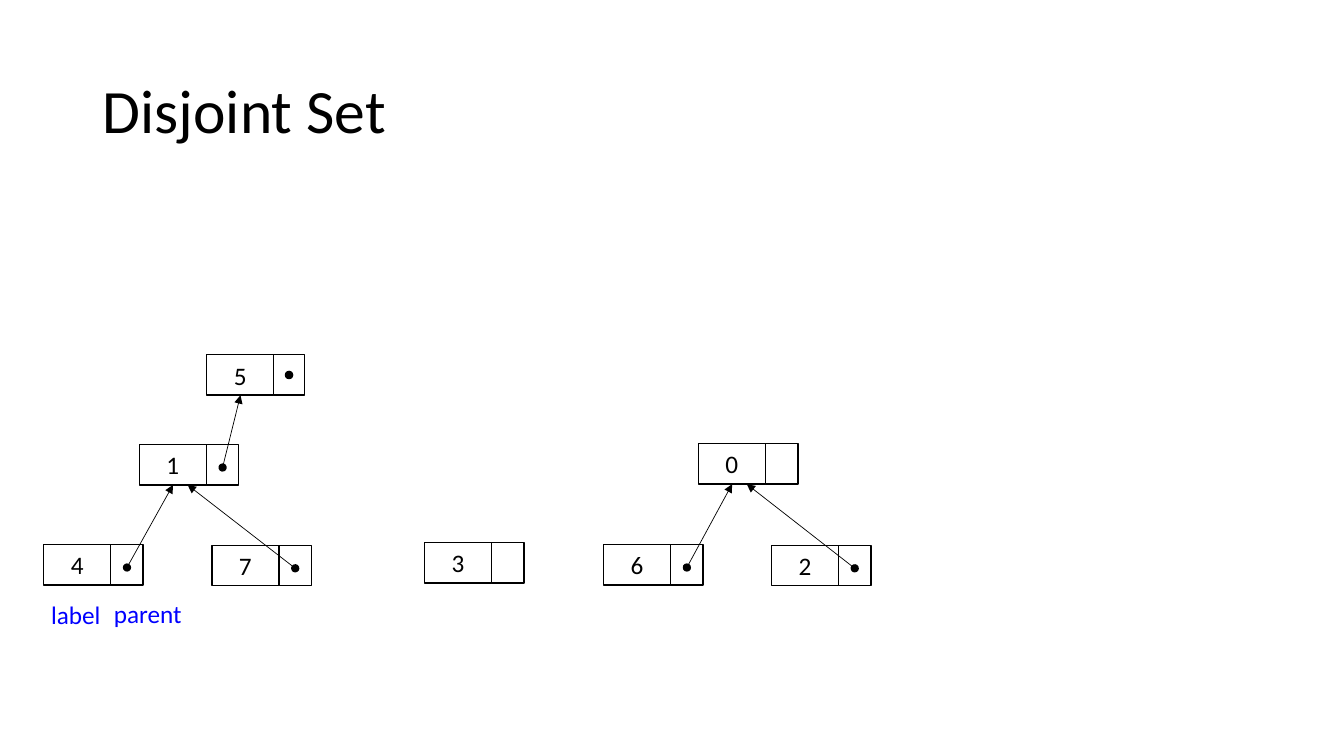
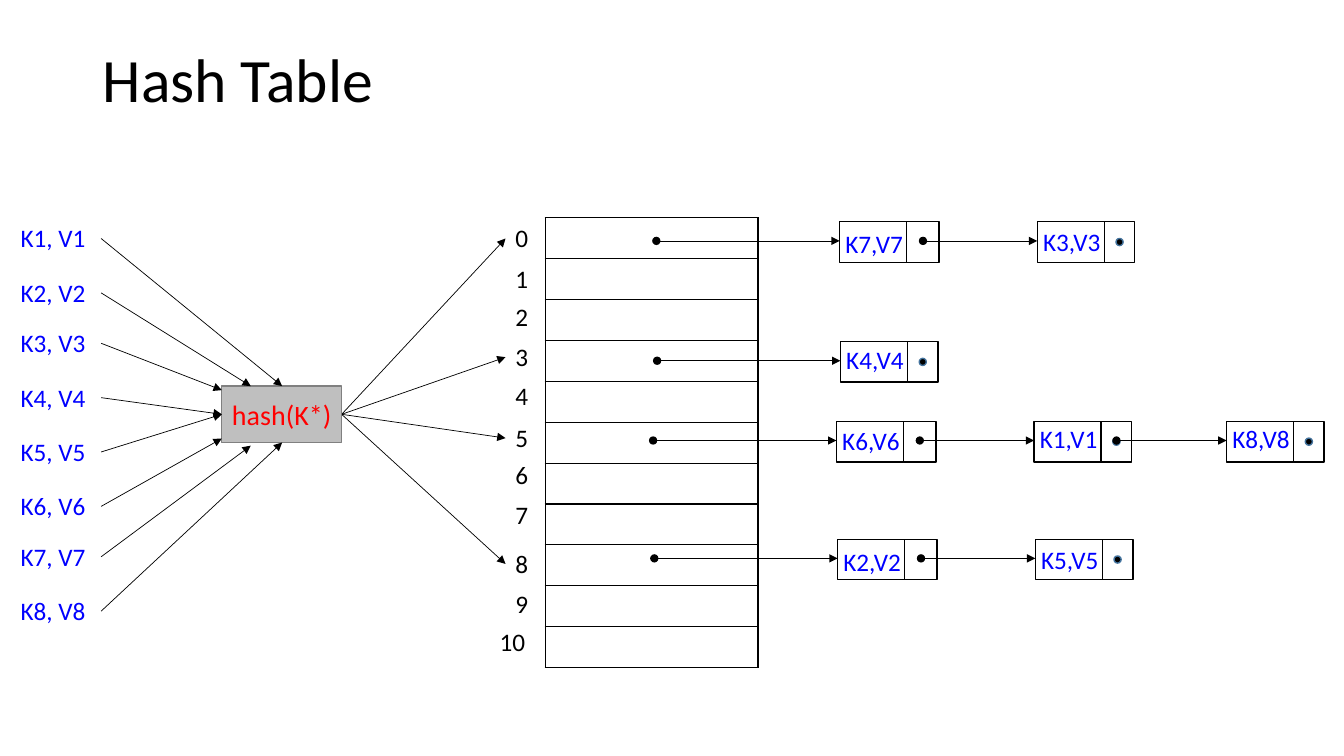
from dataclasses import dataclass

from lxml.etree import SubElement
from pptx import Presentation
from pptx.dml.color import RGBColor
from pptx.enum.shapes import MSO_CONNECTOR as Connector, MSO_SHAPE as Preset
from pptx.enum.text import MSO_ANCHOR as Anchor, MSO_AUTO_SIZE as AutoSize, PP_ALIGN as Align
from pptx.oxml.ns import qn
from pptx.shapes.autoshape import Shape
from pptx.slide import Slide
from pptx.table import _Cell as Cell
from pptx.text.text import TextFrame
from pptx.util import Cm, Pt

COLORS = {
    "ink": "000000",
    "entry": "0000FF",
    "hash_text": "FF0000",
    "hash_fill": "BFBFBF",
    "hash_edge": "808080",
    "null_edge": "43739E",
}
FONT = "Calibri"
BODY_SIZE = 18
ROW_H = 1.02
LABEL_W = 1.69
WIDE_SLOT, NARROW_SLOT = 0.82, 0.77
DOT = 0.18

Point = tuple[float, float]


@dataclass(frozen=True)
class Node:
    """A label cell followed by a pointer slot."""
    left: float
    top: float
    slot: float = WIDE_SLOT

    @property
    def slot_center(self) -> float:
        """Horizontal centre of the pointer slot."""
        return self.left + LABEL_W + self.slot / 2


@dataclass(frozen=True)
class Entry:
    """A key-value pair in a chain; drop shifts its text vertically."""
    text: str
    drop: float
    is_null: bool = False


@dataclass(frozen=True)
class Chain:
    """Entries hanging from one bucket of the table."""
    bucket: int
    top: float
    lefts: tuple[float, ...]
    entries: tuple[Entry, ...]


@dataclass(frozen=True)
class Key:
    """An input pair and the point where its arrow meets the hash box."""
    text: str
    top: float
    target: Point


def rgb(name: str) -> RGBColor:
    """Look up a named colour."""
    return RGBColor.from_string(COLORS[name])


def write(frame: TextFrame, text: str, size: int = BODY_SIZE,
          color: str = "ink", align: Align = Align.LEFT) -> None:
    """Put one run into the first paragraph of a frame."""
    paragraph = frame.paragraphs[0]
    paragraph.alignment = align
    run = paragraph.add_run()
    run.text = text
    run.font.name = FONT
    run.font.size = Pt(size)
    run.font.color.rgb = rgb(color)


def add_text(slide: Slide, left: float, top: float, width: float, text: str,
             color: str = "ink", align: Align = Align.LEFT, wrap: bool = True) -> None:
    """Add a one-line text box."""
    frame = slide.shapes.add_textbox(Cm(left), Cm(top), Cm(width), Cm(ROW_H)).text_frame
    frame.word_wrap = wrap
    frame.auto_size = AutoSize.SHAPE_TO_FIT_TEXT
    write(frame, text, color=color, align=align)


def add_title(slide: Slide, top: float, text: str) -> None:
    """Add the slide title."""
    frame = slide.shapes.add_textbox(Cm(2.34), Cm(top), Cm(29.21), Cm(3.68)).text_frame
    frame.word_wrap = True
    frame.vertical_anchor = Anchor.MIDDLE
    write(frame, text, size=44)
    frame.paragraphs[0].line_spacing = 0.9


def add_outline(slide: Slide, preset: Preset, left: float, top: float, width: float,
                height: float, fill: str = "", edge: str = "ink") -> Shape:
    """Add a flat shape with a thin edge and an optional fill."""
    shape = slide.shapes.add_shape(preset, Cm(left), Cm(top), Cm(width), Cm(height))
    shape.shadow.inherit = False
    if fill:
        shape.fill.solid()
        shape.fill.fore_color.rgb = rgb(fill)
    else:
        shape.fill.background()
    shape.line.color.rgb = rgb(edge)
    shape.line.width = Pt(1)
    return shape


def add_node(slide: Slide, node: Node, text: str = "") -> None:
    """Draw a node's label cell and pointer slot."""
    cell = add_outline(slide, Preset.RECTANGLE, node.left, node.top, LABEL_W, ROW_H)
    if text:
        cell.text_frame.vertical_anchor = Anchor.MIDDLE
        write(cell.text_frame, text, align=Align.CENTER)
    add_outline(slide, Preset.RECTANGLE, node.left + LABEL_W, node.top, node.slot, ROW_H)


def add_dot(slide: Slide, node: Node, edge: str) -> None:
    """Draw the dot of a pointer that leads nowhere."""
    add_outline(slide, Preset.OVAL, node.slot_center - DOT / 2, node.top + 0.51 - DOT / 2,
                DOT, DOT, fill="ink", edge=edge)


def add_arrow(slide: Slide, start: Point, end: Point, dotted_start: bool = False) -> None:
    """Draw a thin arrow, optionally starting from a dot."""
    arrow = slide.shapes.add_connector(
        Connector.STRAIGHT, *(Cm(length) for length in (*start, *end)))
    arrow.line.color.rgb = rgb("ink")
    arrow.line.width = Pt(0.5)
    line = arrow.line._get_or_add_ln()
    if dotted_start:
        SubElement(line, qn("a:headEnd"), type="oval")
    SubElement(line, qn("a:tailEnd"), type="triangle")
    SubElement(arrow._element.spPr, qn("a:effectLst"))


def add_borders(cell: Cell) -> None:
    """Frame a table cell with a thin line, leaving it unfilled."""
    properties = cell._tc.get_or_add_tcPr()
    for side in ("lnL", "lnR", "lnT", "lnB"):
        line = SubElement(properties, qn(f"a:{side}"), w=str(Pt(1)))
        fill = SubElement(line, qn("a:solidFill"))
        SubElement(fill, qn("a:srgbClr"), val=COLORS["ink"])
    cell.fill.background()


FOREST = {
    "1": Node(3.51, 11.2),
    "5": Node(5.21, 8.94, NARROW_SLOT),
    "4": Node(1.1, 13.72),
    "7": Node(5.34, 13.74),
    "0": Node(17.6, 11.18),
    "6": Node(15.21, 13.72),
    "2": Node(19.44, 13.74),
    "3": Node(10.7, 13.67),
}
MIDDLE_AIM, RIGHT_AIM = 0.85, 1.22
PARENT_LINKS = [
    ("1", "5", MIDDLE_AIM),
    ("4", "1", MIDDLE_AIM),
    ("7", "1", RIGHT_AIM),
    ("6", "0", MIDDLE_AIM),
    ("2", "0", RIGHT_AIM),
]


def build_disjoint_set(slide: Slide) -> None:
    """Draw the forest of parent-linked nodes."""
    add_title(slide, 1.02, "Disjoint Set")
    for label, node in FOREST.items():
        add_node(slide, node, label)
    for child_label, parent_label, aim in PARENT_LINKS:
        child, parent = FOREST[child_label], FOREST[parent_label]
        add_arrow(slide, (child.slot_center, child.top + 0.58),
                  (parent.left + aim, parent.top + ROW_H), dotted_start=True)
    add_dot(slide, FOREST["5"], "ink")
    add_text(slide, 2.62, 14.94, 2.31, "parent", "entry")
    add_text(slide, 1.04, 14.99, 2.01, "label", "entry")


HASH_LEFT, HASH_TOP, HASH_W, HASH_H = 5.59, 9.73, 3.02, 1.42
HASH_MIDDLE = HASH_TOP + HASH_H / 2
HASH_BOTTOM = HASH_TOP + HASH_H
KEYS = [
    Key("K1, V1", 5.49, (7.11, HASH_TOP)),
    Key("K2, V2", 6.86, (6.32, HASH_TOP)),
    Key("K3, V3", 8.13, (HASH_LEFT, HASH_TOP + 0.1)),
    Key("K4, V4", 9.5, (HASH_LEFT, HASH_MIDDLE)),
    Key("K5, V5", 10.87, (HASH_LEFT, HASH_MIDDLE)),
    Key("K6, V6", 12.24, (HASH_LEFT, HASH_BOTTOM - 0.1)),
    Key("K7, V7", 13.51, (6.32, HASH_BOTTOM + 0.08)),
    Key("K8, V8", 14.88, (7.11, HASH_BOTTOM)),
]
INDEX_TOPS = [5.49, 6.5, 7.47, 8.48, 9.47, 10.52, 11.46, 12.47, 13.69, 14.71, 15.67]
INDEX_LEFT = 12.74
TEXT_MIDDLE = 0.52
LINK_DEPTH = 0.48
CHAINS = [
    Chain(0, 5.59, (21.16, 26.14),
          (Entry("K7,V7", 0.05), Entry("K3,V3", 0, True))),
    Chain(3, 8.61, (21.18,), (Entry("K4,V4", -0.05, True),)),
    Chain(5, 10.62, (21.08, 26.06, 30.91),
          (Entry("K6,V6", -0.03), Entry("K1,V1", -0.08, True), Entry("K8,V8", -0.08, True))),
    Chain(8, 13.59, (21.11, 26.09),
          (Entry("K2,V2", 0.05), Entry("K5,V5", 0, True))),
]


def add_buckets(slide: Slide) -> None:
    """Draw the bucket table and its index numbers."""
    count = len(INDEX_TOPS)
    row_height = 1.03
    table = slide.shapes.add_table(
        count, 1, Cm(13.74), Cm(5.49), Cm(5.36), Cm(row_height * count)).table
    table.first_row = False
    table.horz_banding = False
    for row in table.rows:
        row.height = Cm(row_height)
        add_borders(row.cells[0])
    for index, top in enumerate(INDEX_TOPS):
        extra = 0.4 if index > 9 else 0
        add_text(slide, INDEX_LEFT - extra, top, 0.91 + extra, str(index))


def add_chain(slide: Slide, chain: Chain) -> None:
    """Draw a bucket's linked entries from left to right."""
    link_y = chain.top + LINK_DEPTH
    link_x = chain.lefts[0] - 4.62
    for left, entry in zip(chain.lefts, chain.entries):
        node = Node(left, chain.top, NARROW_SLOT if entry.is_null else WIDE_SLOT)
        add_node(slide, node)
        if entry.is_null:
            add_dot(slide, node, "null_edge")
        add_arrow(slide, (link_x, link_y), (left, link_y), dotted_start=True)
        add_text(slide, left - 0.12, chain.top + entry.drop, 1.98, entry.text,
                 "entry", Align.CENTER, wrap=False)
        link_x = node.slot_center


def build_hash_table(slide: Slide) -> None:
    """Draw keys flowing through the hash into chained buckets."""
    add_title(slide, 0.23, "Hash Table")
    add_buckets(slide)
    for chain in CHAINS:
        add_chain(slide, chain)
        add_arrow(slide, (HASH_LEFT + HASH_W, HASH_MIDDLE),
                  (INDEX_LEFT, INDEX_TOPS[chain.bucket] + TEXT_MIDDLE))
    hash_box = add_outline(slide, Preset.RECTANGLE, HASH_LEFT, HASH_TOP, HASH_W, HASH_H,
                           fill="hash_fill", edge="hash_edge")
    hash_box.text_frame.word_wrap = False
    hash_box.text_frame.vertical_anchor = Anchor.MIDDLE
    write(hash_box.text_frame, "hash(K*)", 20, "hash_text", Align.CENTER)
    for key in KEYS:
        add_text(slide, 0.27, key.top, 2.28, key.text, "entry")
        add_arrow(slide, (2.55, key.top + TEXT_MIDDLE), key.target)


deck = Presentation()
deck.slide_width, deck.slide_height = Cm(33.87), Cm(19.05)
blank = deck.slide_layouts[6]
for build in (build_disjoint_set, build_hash_table):
    build(deck.slides.add_slide(blank))
deck.save("out.pptx")
